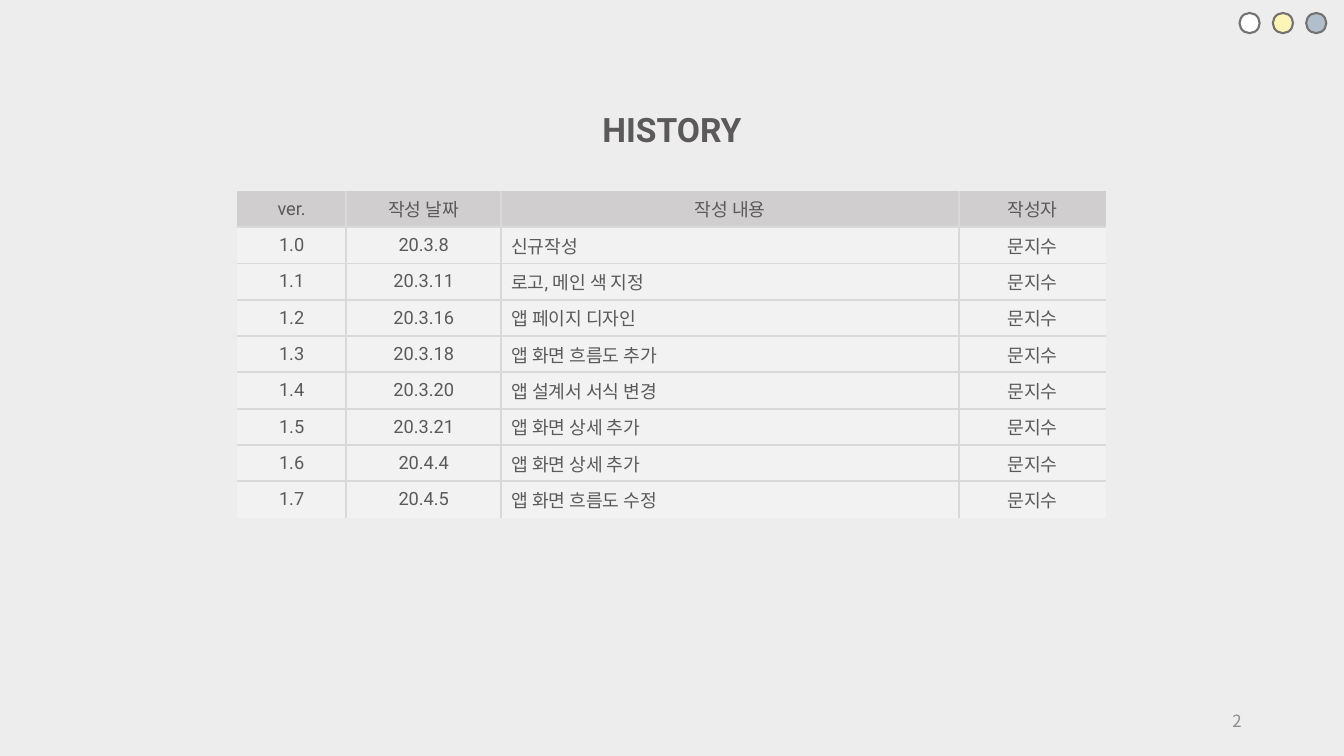
from dataclasses import dataclass

from lxml.etree import SubElement
from pptx import Presentation
from pptx.dml.color import RGBColor
from pptx.enum.shapes import MSO_SHAPE
from pptx.enum.text import MSO_ANCHOR, PP_ALIGN
from pptx.oxml.ns import qn
from pptx.util import Pt


@dataclass(frozen=True)
class Theme:
    """Colours, fonts and type sizes of the slide."""
    bg: str = "EDEDED"
    ink: str = "5B595A"
    muted: str = "8C8C8C"
    ring: str = "767171"
    dots: tuple = ("FFFFFF", "FDF5B7", "B1BFCC")
    head: str = "D0CECE"
    body: str = "F2F2F2"
    rule: str = "D9D9D9"
    font: str = "Roboto"
    font_ko: str = "Noto Sans CJK KR"
    title_size: int = 24
    table_size: int = 13
    number_size: int = 12
    line: float = 1.5


T = Theme()
AUTHOR = "문지수"
HEADER = ("ver.", "작성 날짜", "작성 내용", "작성자")
ENTRIES = (
    ("1.0", "20.3.8", "신규작성"),
    ("1.1", "20.3.11", "로고, 메인 색 지정"),
    ("1.2", "20.3.16", "앱 페이지 디자인"),
    ("1.3", "20.3.18", "앱 화면 흐름도 추가"),
    ("1.4", "20.3.20", "앱 설계서 서식 변경"),
    ("1.5", "20.3.21", "앱 화면 상세 추가"),
    ("1.6", "20.4.4", "앱 화면 상세 추가"),
    ("1.7", "20.4.5", "앱 화면 흐름도 수정"),
)
COLUMNS = (78, 110.7, 326.9, 105.1)
CONTENT_COLUMN = 2


def rgb(color):
    """Return a colour object for a hex string."""
    return RGBColor.from_string(color)


def write(tf, text, size, color, align, font=T.font, bold=False):
    """Put one formatted paragraph into a text frame."""
    p = tf.paragraphs[0]
    p.text = text
    p.alignment = align
    f = p.font
    f.name, f.size, f.bold = font, Pt(size), bold
    f.color.rgb = rgb(color)


def draw_dots(s, x, y, d, step):
    """Draw the row of outlined dots from its top left corner."""
    for i, color in enumerate(T.dots):
        dot = s.shapes.add_shape(MSO_SHAPE.OVAL, Pt(x + i * step), Pt(y), Pt(d), Pt(d))
        dot.shadow.inherit = False
        dot.fill.solid()
        dot.fill.fore_color.rgb = rgb(color)
        dot.line.color.rgb = rgb(T.ring)
        dot.line.width = Pt(T.line)


def place_title(s, text, x, y, w, h):
    """Move the title placeholder into its box and fill it."""
    sp = s.shapes.title
    sp.left, sp.top, sp.width, sp.height = Pt(x), Pt(y), Pt(w), Pt(h)
    sp.text_frame.vertical_anchor = MSO_ANCHOR.MIDDLE
    write(sp.text_frame, text, T.title_size, T.ink, PP_ALIGN.CENTER, bold=True)


def set_borders(cell, inner):
    """Rule the cell sides marked as inner and clear the others."""
    tcPr = cell._tc.get_or_add_tcPr()
    for side in "LRTB":
        ln = SubElement(tcPr, qn(f"a:ln{side}"), w=str(Pt(T.line)))
        if inner[side]:
            fill = SubElement(ln, qn("a:solidFill"))
            SubElement(fill, qn("a:srgbClr"), val=T.rule)
        else:
            SubElement(ln, qn("a:noFill"))


def draw_history(s, x, y, h):
    """Draw the version table with its top left corner and height given."""
    rows = [HEADER] + [(*entry, AUTHOR) for entry in ENTRIES]
    last_row, last_col = len(rows) - 1, len(COLUMNS) - 1
    table = s.shapes.add_table(len(rows), len(COLUMNS), Pt(x), Pt(y),
                               Pt(sum(COLUMNS)), Pt(h)).table
    for column, width in zip(table.columns, COLUMNS):
        column.width = Pt(width)
    for r, row in enumerate(rows):
        table.rows[r].height = Pt(h / len(rows))
        for c, text in enumerate(row):
            cell = table.cell(r, c)
            set_borders(cell, {"L": c > 0, "R": c < last_col, "T": r > 0, "B": r < last_row})
            cell.fill.solid()
            cell.fill.fore_color.rgb = rgb(T.body if r else T.head)
            cell.vertical_anchor = MSO_ANCHOR.MIDDLE
            align = PP_ALIGN.LEFT if r and c == CONTENT_COLUMN else PP_ALIGN.CENTER
            write(cell.text_frame, text, T.table_size, T.ink, align)


def place_number(s, text, x, y, w, h):
    """Write the page number at the right of its box."""
    tf = s.shapes.add_textbox(Pt(x), Pt(y), Pt(w), Pt(h)).text_frame
    tf.word_wrap = True
    tf.vertical_anchor = MSO_ANCHOR.MIDDLE
    write(tf, text, T.number_size, T.muted, PP_ALIGN.RIGHT, T.font_ko)


def build_history_slide(prs):
    """Add the version history slide."""
    s = prs.slides.add_slide(prs.slide_layouts[5])
    s.background.fill.solid()
    s.background.fill.fore_color.rgb = rgb(T.bg)
    draw_dots(s, 885.4, 9.3, 14.4, 23.8)
    place_title(s, "HISTORY", 405.5, 74.5, 149, 36)
    draw_history(s, 169.3, 136.3, 231)
    place_number(s, "2", 678, 500.5, 216, 28.8)


def main():
    """Build and save the presentation."""
    prs = Presentation()
    prs.slide_width, prs.slide_height = Pt(960), Pt(540)
    build_history_slide(prs)
    prs.save("out.pptx")


if __name__ == "__main__":
    main()
